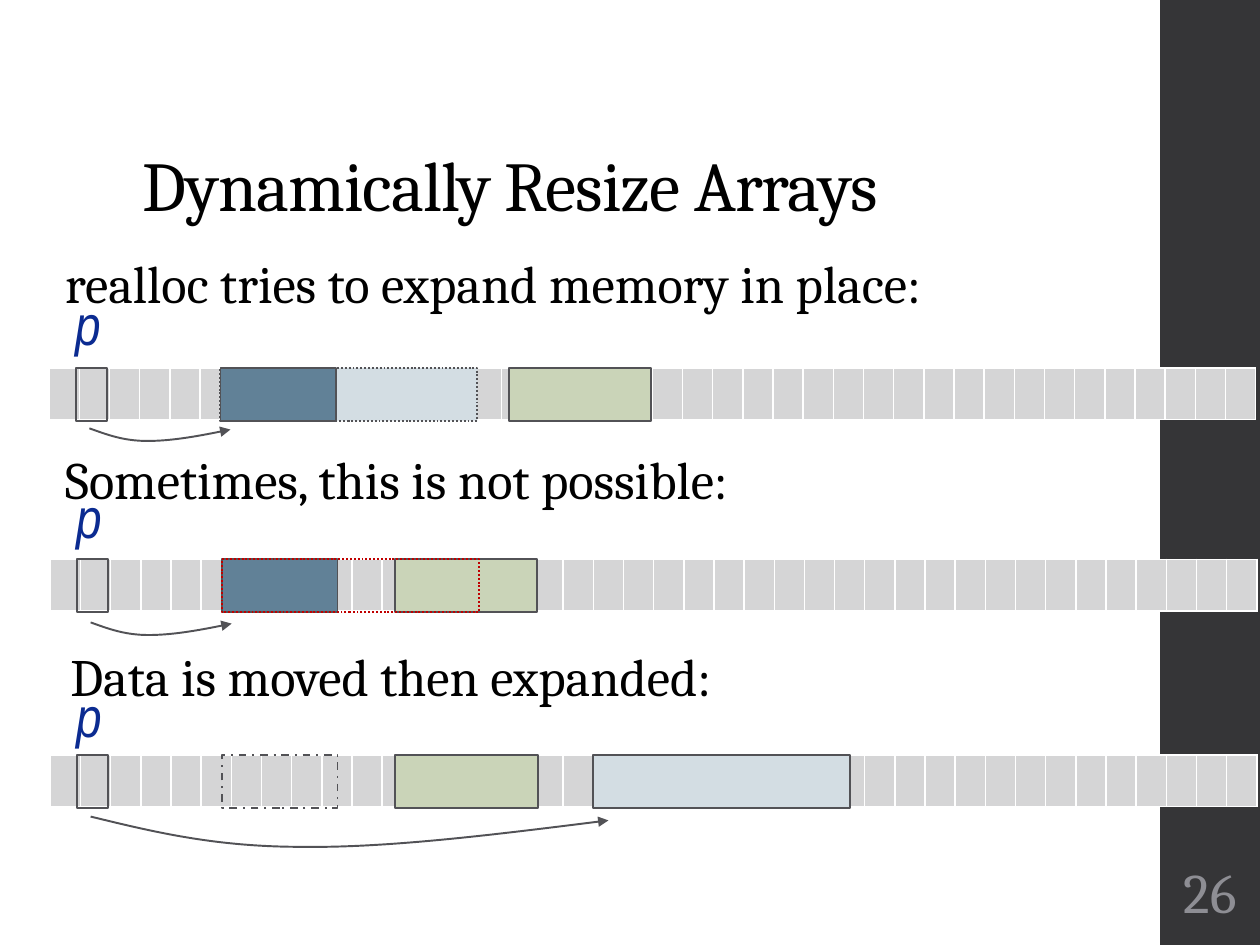
from dataclasses import dataclass
from typing import Optional

import pptx
import pptx.dml.color
import pptx.enum.dml
import pptx.enum.shapes
import pptx.enum.text
import pptx.oxml.ns
import pptx.util
from lxml import etree

Pt = pptx.util.Pt
qn = pptx.oxml.ns.qn
DASH = pptx.enum.dml.MSO_LINE
ANCHOR = pptx.enum.text.MSO_ANCHOR
ALIGN = pptx.enum.text.PP_ALIGN
RECT = pptx.enum.shapes.MSO_SHAPE.RECTANGLE

COLORS = {
    "black": "000000", "sidebar": "353537", "number": "8E8E94",
    "cell": "D5D5D6", "border": "FFFFFF", "outline": "525256",
    "array": "618197", "expanded": "D3DDE3", "other": "CAD4B8",
    "conflict": "C00000", "pointer": "0B2B91",
}
CELLS, CELL_WIDTH, CELL_HEIGHT = 40, 16.4, 29.5
BLOCK_HEIGHT, POINTER_WIDTH = 30.2, 18
ARRAY, OTHER, EXPANDED = 66.2, 81.4, 146.9  # block widths

# Curve points relative to the start of the arrow, two cubic segments each
SHORT_ARROW = [(10.1, 3.6), (19.4, 7.2), (33.1, 7.2),
               (46.1, 7.2), (63.4, 4.3), (80.6, 0.7)]
LONG_ARROW = [(35.3, 8.6), (70.6, 17.3), (120.2, 17.3),
              (169.2, 18), (232.6, 10.1), (295.9, 2.2)]


@dataclass
class Block:
    left: float
    width: float
    fill: Optional[str] = None
    line: str = "outline"
    dash: Optional[DASH] = None


@dataclass
class Stage:
    caption: str
    caption_left: float
    caption_top: float
    caption_width: float
    left: float
    top: float
    pointer_top: float
    arrow_top: float
    arrow: list[tuple[float, float]]
    blocks: list[Block]


STAGES = [
    Stage("realloc tries to expand memory in place:", 30.2, 139.7, 588,
          28.1, 210.2, 162, 244.8, SHORT_ARROW,
          [Block(126, EXPANDED, "expanded", dash=DASH.ROUND_DOT),
           Block(126, ARRAY, "array"),
           Block(290.9, OTHER, "other")]),
    Stage("Sometimes, this is not possible:", 30.2, 252, 522,
          28.8, 319.7, 272.2, 355.7, SHORT_ARROW,
          [Block(126.7, ARRAY, "array"),
           Block(225.6, OTHER, "other"),
           Block(126.7, EXPANDED, line="conflict", dash=DASH.ROUND_DOT)]),
    Stage("Data is moved then expanded:", 33.1, 364.3, 489,
          28.8, 431.3, 385.9, 466.6, LONG_ARROW,
          [Block(126.7, ARRAY, dash=DASH.DASH_DOT),
           Block(225.8, OTHER, "other"),
           Block(339, EXPANDED, "expanded")]),
]


def rgb(name: str):
    return pptx.dml.color.RGBColor.from_string(COLORS[name])


def style_font(p, size: float, color: str, name: str = "Cambria") -> None:
    p.font.size = Pt(size)
    p.font.name = name
    p.font.color.rgb = rgb(color)


def add_text(slide, text: str, left: float, top: float, width: float,
             height: float, size: float, color: str, name: str = "Cambria"):
    s = slide.shapes.add_textbox(Pt(left), Pt(top), Pt(width), Pt(height))
    tf = s.text_frame
    tf.word_wrap = True
    p = tf.paragraphs[0]
    p.text = text
    style_font(p, size, color, name)
    return s


def style_line(s, color: str, dash: Optional[DASH] = None) -> None:
    s.shadow.inherit = False
    s.line.color.rgb = rgb(color)
    s.line.width = Pt(1.1)
    if dash is not None:
        s.line.dash_style = dash


def add_block(slide, block: Block, top: float) -> None:
    s = slide.shapes.add_shape(RECT, Pt(block.left), Pt(top),
                               Pt(block.width), Pt(BLOCK_HEIGHT))
    style_line(s, block.line, block.dash)
    if block.fill:
        s.fill.solid()
        s.fill.fore_color.rgb = rgb(block.fill)
    else:
        s.fill.background()


def add_memory(slide, left: float, top: float) -> None:
    """Draw the strip of memory cells as a one-row table."""
    frame = slide.shapes.add_table(1, CELLS, Pt(left), Pt(top),
                                   Pt(CELLS * CELL_WIDTH), Pt(CELL_HEIGHT))
    table = frame.table
    table.first_row = table.horz_banding = False
    for column in table.columns:
        column.width = Pt(CELL_WIDTH)
    for cell in table.iter_cells():
        tc_pr = cell._tc.get_or_add_tcPr()
        for side in ("lnL", "lnR", "lnT", "lnB"):
            ln = etree.SubElement(tc_pr, qn(f"a:{side}"), w=str(Pt(1)))
            fill = etree.SubElement(ln, qn("a:solidFill"))
            etree.SubElement(fill, qn("a:srgbClr"), val=COLORS["border"])
        cell.fill.solid()
        cell.fill.fore_color.rgb = rgb("cell")


def add_curved_arrow(slide, left: float, top: float,
                     offsets: list[tuple[float, float]]) -> None:
    builder = slide.shapes.build_freeform(Pt(left), Pt(top))
    builder.add_line_segments(
        [(Pt(left + x), Pt(top + y)) for x, y in offsets], close=False)
    s = builder.convert_to_shape()
    s.fill.background()
    style_line(s, "outline")
    etree.SubElement(s.line._get_or_add_ln(), qn("a:tailEnd"), type="triangle")
    # Every three straight segments become one cubic segment
    outline = s._element.find(".//" + qn("a:path"))
    segments = outline.findall(qn("a:lnTo"))
    for i in range(0, len(segments), 3):
        cubic = etree.SubElement(outline, qn("a:cubicBezTo"))
        for segment in segments[i:i + 3]:
            cubic.append(segment[0])
            outline.remove(segment)


def add_stage(slide, stage: Stage) -> None:
    add_memory(slide, stage.left, stage.top)
    for block in stage.blocks:
        add_block(slide, block, stage.top)
    add_block(slide, Block(stage.left + 15.1, POINTER_WIDTH), stage.top)
    label = add_text(slide, "p", stage.left + 7.9, stage.pointer_top, 41.8, 46,
                     32, "pointer", "Arial Narrow")
    label.text_frame.paragraphs[0].font.italic = True
    add_curved_arrow(slide, stage.left + 23, stage.arrow_top, stage.arrow)
    add_text(slide, stage.caption, stage.caption_left, stage.caption_top,
             stage.caption_width, 44, 30, "black")


def format_title(s) -> None:
    s.left, s.top, s.width, s.height = Pt(74.2), Pt(28.8), Pt(572.4), Pt(104.4)
    tf = s.text_frame
    tf.text = "Dynamically Resize Arrays"
    tf.auto_size = pptx.enum.text.MSO_AUTO_SIZE.NONE
    tf.vertical_anchor = ANCHOR.BOTTOM
    p = tf.paragraphs[0]
    p.alignment = ALIGN.LEFT
    p.line_spacing = 0.9
    style_font(p, 40, "black")
    p.runs[0]._r.get_or_add_rPr().set("spc", "-50")


def main() -> None:
    prs = pptx.Presentation()
    prs.slide_width, prs.slide_height = Pt(720), Pt(540)
    slide = prs.slides.add_slide(prs.slide_layouts[5])
    format_title(slide.shapes.title)

    sidebar = slide.shapes.add_shape(RECT, Pt(663), 0, Pt(57), Pt(540))
    sidebar.shadow.inherit = False
    sidebar.fill.solid()
    sidebar.fill.fore_color.rgb = rgb("sidebar")
    sidebar.line.fill.background()

    number = add_text(slide, "26", 664.6, 486, 54, 46.8, 32, "number")
    tf = number.text_frame
    tf.margin_left = tf.margin_right = Pt(2.2)
    tf.vertical_anchor = ANCHOR.MIDDLE
    tf.paragraphs[0].alignment = ALIGN.CENTER

    for stage in STAGES:
        add_stage(slide, stage)
    prs.save("out.pptx")


if __name__ == "__main__":
    main()
